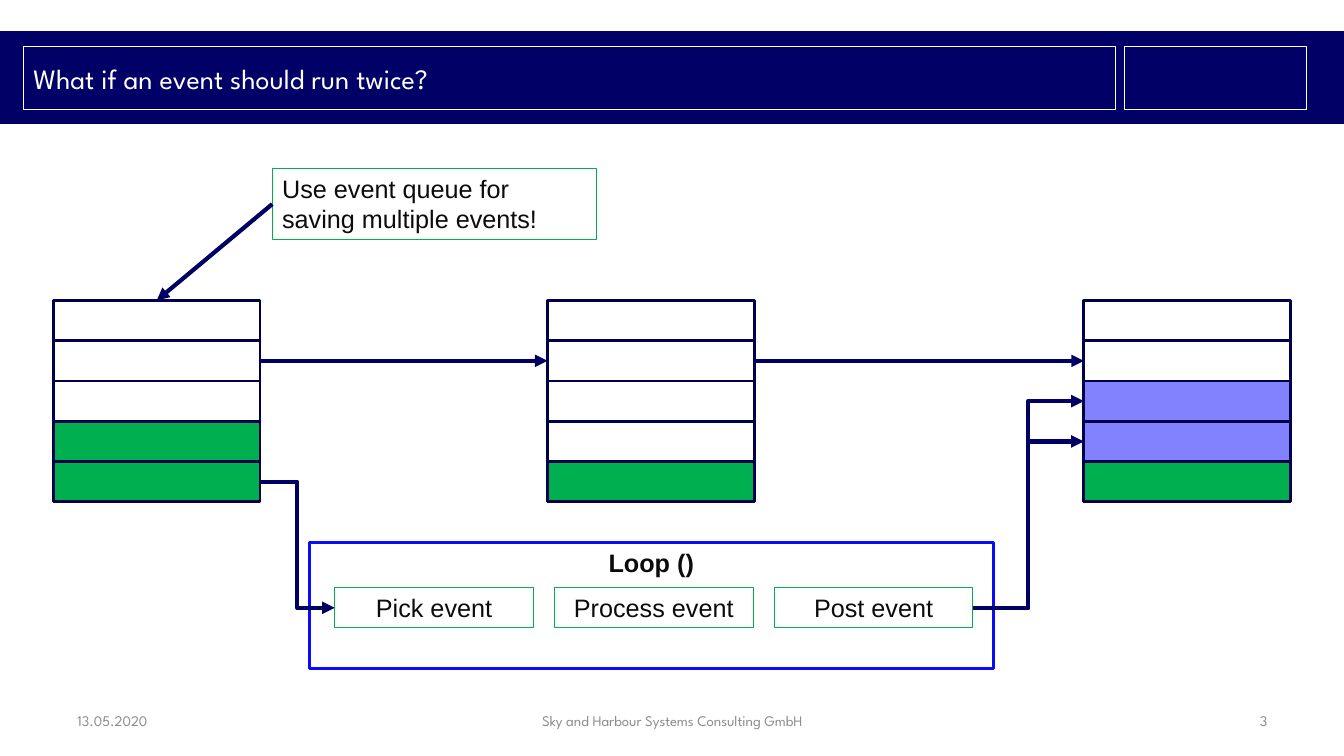
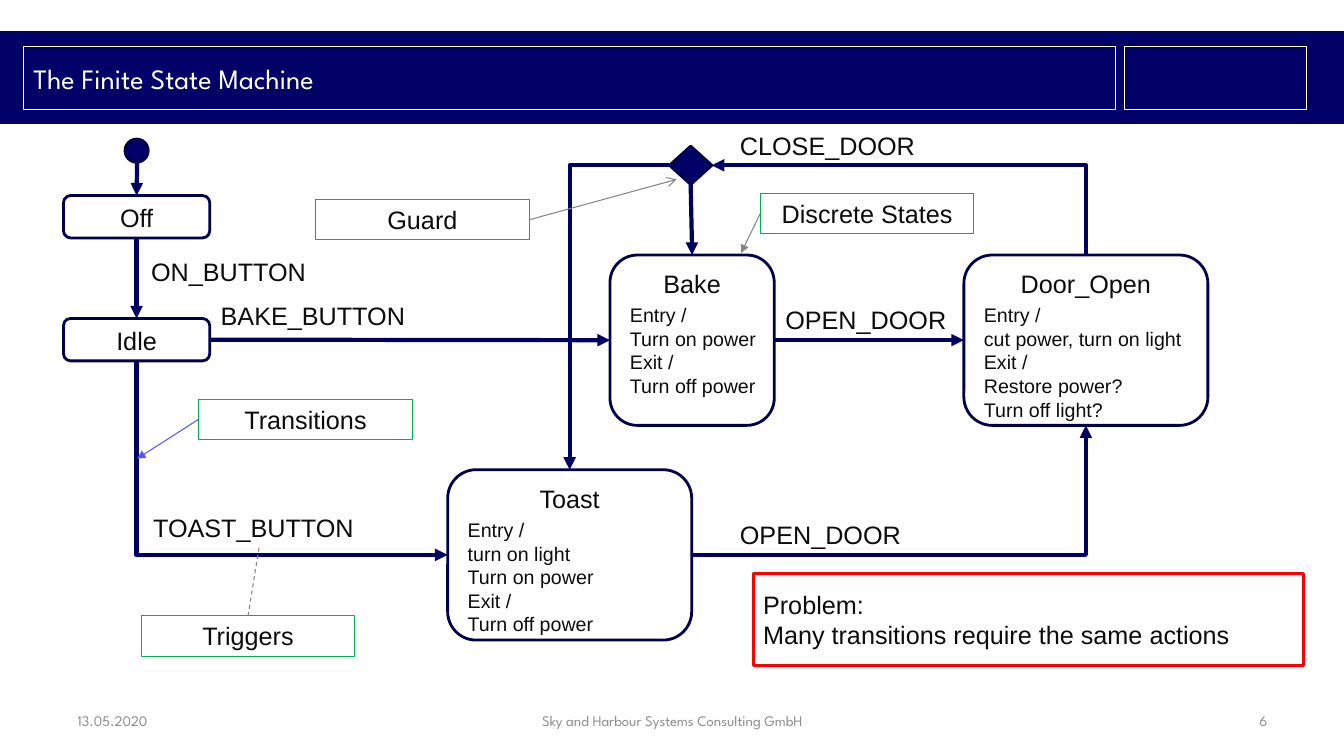
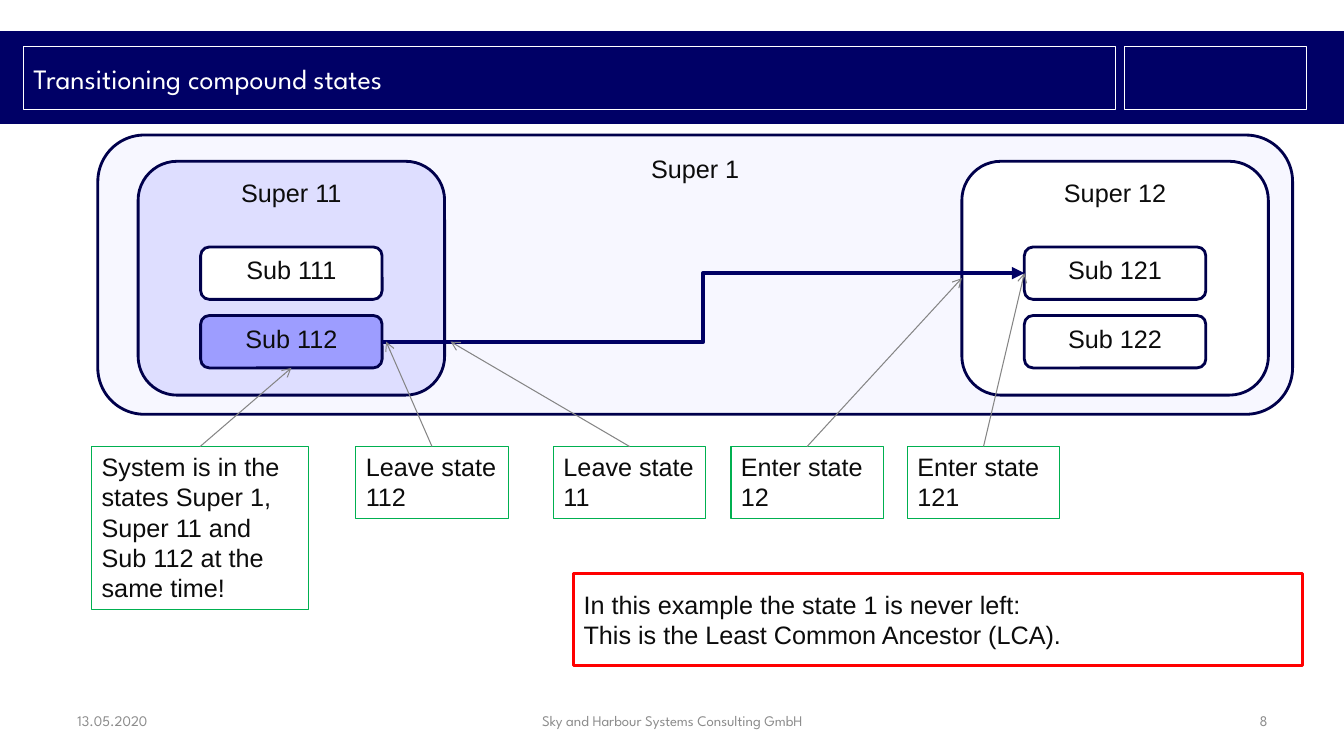
"""Build three slides about event queues and state machines."""
from lxml import etree
from pptx import Presentation
from pptx import util as u
from pptx.dml.color import RGBColor
from pptx.enum import dml, shapes, text
from pptx.oxml import ns

BAND = RGBColor(0x00, 0x00, 0x66)
ARROW = RGBColor(0x00, 0x00, 0x64)
EDGE = RGBColor(0x00, 0x00, 0x4B)
BLUE = RGBColor(0x0A, 0x0A, 0xFF)
SOFT_BLUE = RGBColor(0x55, 0x55, 0xFD)
VIOLET = RGBColor(0x82, 0x82, 0xFF)
ACTIVE = RGBColor(0x9D, 0x9D, 0xFF)
LILAC = RGBColor(0xDE, 0xDE, 0xFF)
PALE = RGBColor(0xF7, 0xF7, 0xFF)
GREEN = RGBColor(0x00, 0xB0, 0x50)
RED = RGBColor(0xFF, 0x00, 0x00)
GREY = RGBColor(0x85, 0x85, 0x85)
FOOT = RGBColor(0x8C, 0x8C, 0x8C)
INK = RGBColor(0x0C, 0x0C, 0x0C)
WHITE = RGBColor(0xFF, 0xFF, 0xFF)

HEAD_FONT, BODY_FONT = "League Spartan", "Arial"
DATE = "13.05.2020"
COMPANY = "Sky and Harbour Systems Consulting GmbH"
RECT = shapes.MSO_SHAPE.RECTANGLE
ROUND = shapes.MSO_SHAPE.ROUNDED_RECTANGLE
LEFT, CENTER, RIGHT = text.PP_ALIGN.LEFT, text.PP_ALIGN.CENTER, text.PP_ALIGN.RIGHT
TOP, MIDDLE = text.MSO_ANCHOR.TOP, text.MSO_ANCHOR.MIDDLE
SITE_TOP, SITE_LEFT, SITE_BOTTOM, SITE_RIGHT = range(4)


class Deck:
    """Holds the shared style and the slide being built."""

    def __init__(self):
        self.deck = Presentation()
        self.deck.slide_width = u.Inches(13.33)
        self.deck.slide_height = u.Inches(7.5)
        self.layout = self.deck.slide_layouts[5]
        self.page = None

    def start(self, title, number):
        """Add a slide with its title and footer."""
        first = self.page is None
        self.page = self.deck.slides.add_slide(self.layout)
        if first:
            self.decorate_layout()
        box = self.page.shapes.title
        box.left, box.top, box.width, box.height = map(u.Inches, (0.23, 0.46, 10.83, 0.63))
        self.outline(box, WHITE, 0.75)
        self.set_text(box, title, 20, LEFT, MIDDLE, WHITE, HEAD_FONT)
        for left, width, words, align in (
            (0.67, 3.11, DATE, LEFT),
            (3.94, 5.46, COMPANY, CENTER),
            (9.56, 3.11, str(number), RIGHT),
        ):
            self.label((left, 6.95, width, 0.4), words, 10.5, align, MIDDLE, FOOT, HEAD_FONT)

    def decorate_layout(self):
        """Put the title band and its side frame on the shared layout."""
        band = self.box((0, 0.31, 13.33, 0.92), fill=BAND, line=None)
        frame = self.box((11.15, 0.46, 1.81, 0.63), fill=BAND, line=WHITE, weight=0.75)
        for index, part in enumerate((band, frame)):
            part.element.nvSpPr.cNvPr.id = 101 + index
            self.layout.shapes.element.insert(2 + index, part.element)

    def outline(self, box, color, weight):
        """Draw a border, or none."""
        if color is None:
            box.line.fill.background()
        else:
            box.line.color.rgb = color
            box.line.width = u.Pt(weight)

    def set_text(self, box, words, size=18, align=LEFT, anchor=TOP, color=INK,
                 font=BODY_FONT, bold=False):
        """Fill a shape with uniformly styled text."""
        frame = box.text_frame
        frame.text = words
        frame.word_wrap = True
        frame.auto_size = text.MSO_AUTO_SIZE.NONE
        frame.vertical_anchor = anchor
        for para in frame.paragraphs:
            para.alignment = align
            para.font.size = u.Pt(size)
            para.font.name = font
            para.font.bold = bold
            para.font.color.rgb = color

    def label(self, place, words, *style):
        """Add a plain text box."""
        box = self.page.shapes.add_textbox(*map(u.Inches, place))
        self.set_text(box, words, *style)

    def box(self, place, words="", fill=None, line=EDGE, weight=2, kind=RECT,
            align=CENTER, anchor=TOP, bold=False):
        """Add a preset shape with optional text."""
        box = self.page.shapes.add_shape(kind, *map(u.Inches, place))
        box.shadow.inherit = False
        if fill is None:
            box.fill.background()
        else:
            box.fill.solid()
            box.fill.fore_color.rgb = fill
        self.outline(box, line, weight)
        if words:
            self.set_text(box, words, align=align, anchor=anchor, bold=bold)
        return box

    def callout(self, place, words, align=CENTER, fill=WHITE):
        """Add a green-bordered note."""
        return self.box(place, words, fill, GREEN, 0.75, align=align)

    def warning(self, place, words):
        """Add a red-bordered conclusion."""
        self.box(place, words, line=RED, align=LEFT, anchor=MIDDLE)

    def state(self, place, words, fill=None):
        """Add a rounded state."""
        return self.box(place, words, fill, kind=ROUND)

    def action_state(self, place, name, actions):
        """Add a state that lists its entry and exit actions."""
        left, top, width, height = place
        box = self.state(place, name)
        self.label((left + 0.1, top + 0.43, width - 0.1, height - 0.41), actions, 14)
        return box

    def queue(self, left, fills):
        """Stack the cells of an event queue."""
        return [self.box((left, 2.98 + 0.4 * row, 2.05, 0.4), fill=fill)
                for row, fill in enumerate(fills)]

    def spot(self, end):
        """Give the point for a pair of inches or a shape with a site."""
        box, site = end
        if isinstance(site, float):
            return u.Inches(box), u.Inches(site)
        across = {SITE_LEFT: 0, SITE_RIGHT: box.width}.get(site, box.width // 2)
        down = {SITE_TOP: 0, SITE_BOTTOM: box.height}.get(site, box.height // 2)
        return box.left + across, box.top + down

    def link(self, start, finish, color=ARROW, weight=3, tip="triangle",
             bends=0, reverse=False, dashed=False):
        """Connect two ends; reverse puts the arrowhead at the start."""
        kind = shapes.MSO_CONNECTOR.ELBOW if bends else shapes.MSO_CONNECTOR.STRAIGHT
        line = self.page.shapes.add_connector(kind, *self.spot(start), *self.spot(finish))
        for end, join in ((start, line.begin_connect), (finish, line.end_connect)):
            if not isinstance(end[1], float):
                join(*end)
        line.line.color.rgb = color
        line.line.width = u.Pt(weight)
        if dashed:
            line.line.dash_style = dml.MSO_LINE.DASH
        properties = line.element.spPr
        if bends == 1:
            properties.find(ns.qn("a:prstGeom")).set("prst", "bentConnector2")
        if tip:
            end_tag = "a:headEnd" if reverse else "a:tailEnd"
            etree.SubElement(properties.find(ns.qn("a:ln")), ns.qn(end_tag), type=tip)
        etree.SubElement(properties, ns.qn("a:effectLst"))

    def pointer(self, start, finish, color=GREY, tip="arrow", dashed=False):
        """Point a thin line from a note to its subject."""
        self.link(start, finish, color, 0.75, tip, dashed=dashed)

    def save(self):
        """Save the presentation."""
        self.deck.save("out.pptx")


def event_queue(deck):
    """Show how a loop moves events through the queue."""
    deck.start("What if an event should run twice?", 3)
    before = deck.queue(0.53, [None] * 3 + [GREEN] * 2)
    during = deck.queue(5.43, [None] * 4 + [GREEN])
    after = deck.queue(10.75, [None] * 2 + [VIOLET] * 2 + [GREEN])
    deck.box((3.07, 5.38, 6.78, 1.25), "Loop ()", line=BLUE, weight=2.25, bold=True)
    pick, _, post = [
        deck.callout((3.32 + 2.18 * column, 5.83, 1.97, 0.4), words, fill=None)
        for column, words in enumerate(("Pick event", "Process event", "Post event"))
    ]
    note = deck.callout((2.7, 1.67, 3.22, 0.71),
                        "Use event queue for saving multiple events!", LEFT)
    deck.link((note, SITE_LEFT), (before[0], SITE_TOP))
    for source, target in ((before, during), (during, after)):
        deck.link((source[1], SITE_RIGHT), (target[1], SITE_LEFT))
    deck.link((before[4], SITE_RIGHT), (pick, SITE_LEFT), bends=2)
    for cell in after[2:4]:
        deck.link((post, SITE_RIGHT), (cell, SITE_LEFT), bends=2)


def state_machine(deck):
    """Show the states and transitions of a toaster oven."""
    deck.start("The Finite State Machine", 6)
    off = deck.state((0.63, 1.94, 1.45, 0.42), "Off")
    idle = deck.state((0.63, 3.16, 1.45, 0.42), "Idle")
    bake = deck.action_state((6.05, 2.53, 1.63, 1.69), "Bake",
                             "Entry /\vTurn on power\nExit /\nTurn off power")
    door = deck.action_state(
        (9.56, 2.53, 2.42, 1.69), "Door_Open",
        "Entry /\vcut power, turn on light\nExit /\nRestore power?\nTurn off light?")
    toast = deck.action_state(
        (4.44, 4.66, 2.42, 1.69), "Toast",
        "Entry /\vturn on light\nTurn on power\nExit /\nTurn off power")
    deck.box((1.24, 1.38, 0.23, 0.23), fill=BAND, kind=shapes.MSO_SHAPE.OVAL)
    guard = deck.box((6.64, 1.45, 0.42, 0.38), fill=BAND, kind=shapes.MSO_SHAPE.DIAMOND)

    deck.link((1.36, 1.61), (off, SITE_TOP))
    deck.link((off, SITE_BOTTOM), (idle, SITE_TOP))
    deck.link((idle, SITE_RIGHT), (bake, SITE_LEFT))
    deck.link((bake, SITE_RIGHT), (door, SITE_LEFT))
    deck.link((guard, SITE_BOTTOM), (bake, SITE_TOP))
    deck.link((toast, SITE_RIGHT), (door, SITE_BOTTOM), bends=1)
    deck.link((guard, SITE_LEFT), (toast, SITE_TOP), bends=1)
    deck.link((toast, SITE_LEFT), (idle, SITE_BOTTOM), bends=1, reverse=True)
    deck.link((guard, SITE_RIGHT), (door, SITE_TOP), bends=1, reverse=True)

    for left, top, words in (
        (1.4, 2.49, "ON_BUTTON"),
        (2.09, 2.93, "BAKE_BUTTON"),
        (1.42, 5.03, "TOAST_BUTTON"),
        (7.24, 1.24, "CLOSE_DOOR"),
        (7.69, 2.97, "OPEN_DOOR"),
        (7.24, 5.1, "OPEN_DOOR"),
    ):
        deck.label((left, top, 2.31, 0.4), words)

    states, transitions, triggers, guards = [
        deck.callout((left, top, 2.12, 0.4), words)
        for left, top, words in (
            (7.54, 1.92, "Discrete States"),
            (1.97, 3.96, "Transitions"),
            (1.4, 6.11, "Triggers"),
            (3.13, 1.98, "Guard"),
        )
    ]
    deck.pointer((states, SITE_LEFT), (7.35, 2.51), tip="triangle")
    deck.pointer((transitions, SITE_LEFT), (1.36, 4.55), SOFT_BLUE, "triangle")
    deck.pointer((triggers, SITE_TOP), (2.57, 5.43), tip=None, dashed=True)
    deck.pointer((guards, SITE_RIGHT), (6.71, 1.78))
    deck.warning((7.47, 5.69, 5.46, 0.91),
                 "Problem:\nMany transitions require the same actions")


def compound_states(deck):
    """Show a transition between nested states."""
    deck.start("Transitioning compound states", 8)
    deck.state((0.97, 1.34, 11.85, 2.77), "Super 1", PALE)
    subs = {}
    for left, group, group_fill, second_fill in (
        (1.37, "1", LILAC, ACTIVE),
        (9.54, "2", WHITE, WHITE),
    ):
        deck.state((left, 1.6, 3.04, 2.32), "Super 1" + group, group_fill)
        for row, fill in enumerate((WHITE, second_fill)):
            name = f"1{group}{row + 1}"
            subs[name] = deck.state((left + 0.62, 2.45 + 0.68 * row, 1.8, 0.52),
                                    "Sub " + name, fill)
    deck.link((subs["112"], SITE_RIGHT), (subs["121"], SITE_LEFT), bends=2)
    for left, width, height, words, target in (
        (0.91, 2.15, 1.62,
         "System is in the states Super 1, Super 11 and Sub 112 at the same time!",
         (subs["112"], SITE_BOTTOM)),
        (3.53, 1.51, 0.71, "Leave state\n112", (3.83, 3.39)),
        (5.49, 1.51, 0.71, "Leave state\n11", (4.47, 3.39)),
        (7.25, 1.51, 0.71, "Enter state\n12", (9.54, 2.76)),
        (9, 1.51, 0.71, "Enter state\n121", (subs["121"], SITE_LEFT)),
    ):
        note = deck.callout((left, 4.43, width, height), words, LEFT, None)
        deck.pointer((note, SITE_TOP), target)
    deck.warning((5.69, 5.69, 7.23, 0.91),
                 "In this example the state 1 is never left:\n"
                 "This is the Least Common Ancestor (LCA).")


def main():
    """Build and save the three slides."""
    deck = Deck()
    for build in (event_queue, state_machine, compound_states):
        build(deck)
    deck.save()


if __name__ == "__main__":
    main()
